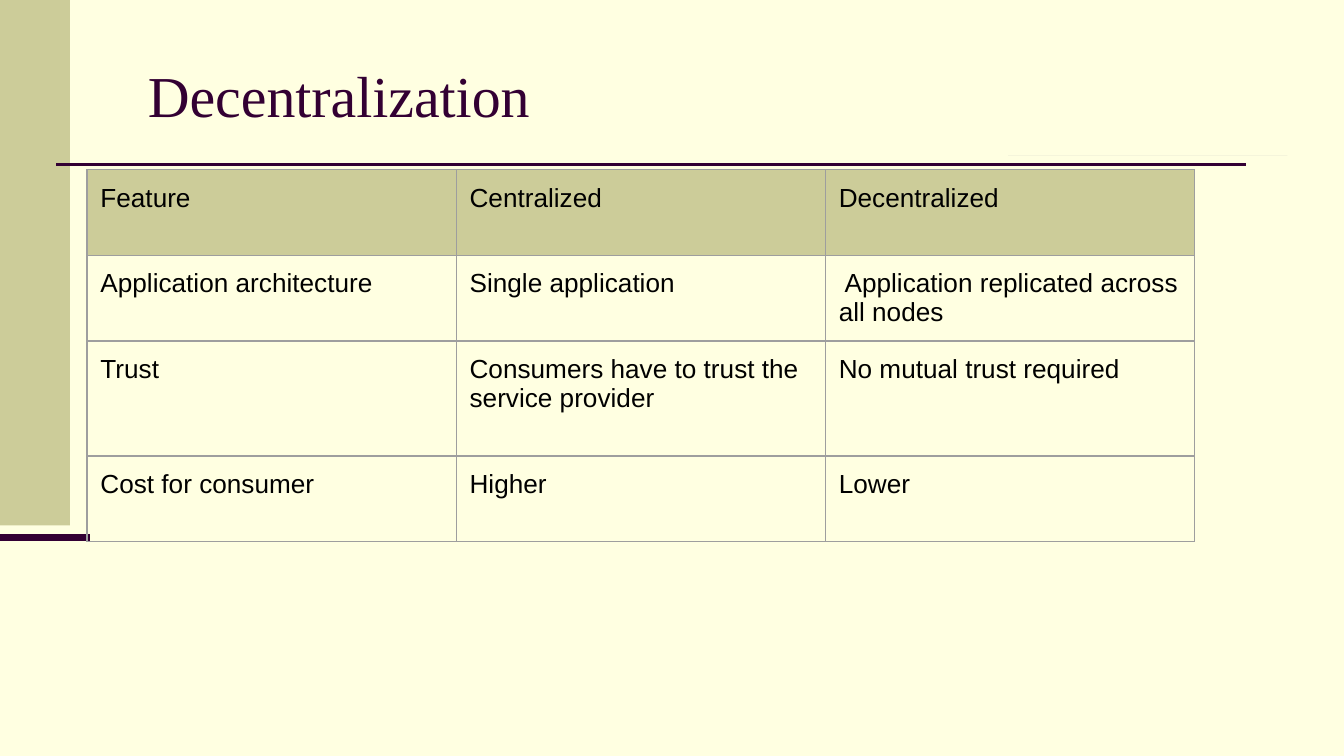
from dataclasses import dataclass

from lxml import etree
from pptx import Presentation
from pptx.dml.color import RGBColor
from pptx.enum.shapes import MSO_CONNECTOR, MSO_SHAPE
from pptx.enum.text import MSO_ANCHOR, PP_ALIGN
from pptx.oxml.ns import qn
from pptx.util import Pt

RECT = MSO_SHAPE.RECTANGLE
STRAIGHT = MSO_CONNECTOR.STRAIGHT
MIDDLE = MSO_ANCHOR.MIDDLE
TOP = MSO_ANCHOR.TOP
LEFT = PP_ALIGN.LEFT
TITLE_ONLY = 5


@dataclass(frozen=True)
class Theme:
    """Colours, fonts and type sizes of the slide."""
    paper: str = "FFFFE1"
    khaki: str = "CCCC99"
    plum: str = "330033"
    grey: str = "B2B2B2"
    border: str = "9E9E9E"
    ink: str = "000000"
    title_font: str = "Times New Roman"
    body_font: str = "Arial"
    title_size: float = 31
    body_size: float = 14


THEME = Theme()
ROWS = [
    ("Feature", "Centralized", "Decentralized"),
    ("Application architecture", "Single application",
     " Application replicated across all nodes"),
    ("Trust", "Consumers have to trust the service provider",
     "No mutual trust required"),
    ("Cost for consumer", "Higher", "Lower"),
]
ROW_HEIGHTS = (45.8, 45.8, 61.6, 45.8)


def rgb(color):
    """Return the colour object for a hex string."""
    return RGBColor.from_string(color)


def add_run(p, text, font, size, color):
    """Add one formatted run to a paragraph."""
    r = p.add_run()
    r.text = text
    r.font.name = font
    r.font.size = Pt(size)
    r.font.color.rgb = rgb(color)


def add_block(s, x, y, w, h, color):
    """Add a plain filled rectangle."""
    sp = s.shapes.add_shape(RECT, Pt(x), Pt(y), Pt(w), Pt(h))
    sp.shadow.inherit = False
    sp.fill.solid()
    sp.fill.fore_color.rgb = rgb(color)
    sp.line.fill.background()


def add_rule(s, x, y, w, weight):
    """Add a horizontal plum line without a shadow."""
    line = s.shapes.add_connector(STRAIGHT, Pt(x), Pt(y), Pt(x + w), Pt(y))
    line.line.color.rgb = rgb(THEME.plum)
    line.line.width = Pt(weight)
    etree.SubElement(line._element.spPr, qn("a:effectLst"))


def add_decoration(s, x, y, w, h):
    """Draw the side band and the rules inside the slide box."""
    add_block(s, x, y, 0.052 * w, 0.695 * h, THEME.khaki)
    add_block(s, x + 0.75 * w, y + 83.5, 0.208 * w, 0, THEME.grey)
    add_rule(s, x + 0.042 * w, y + 88.2, 0.885 * w, 1.5)
    add_rule(s, x, y + 288, 0.067 * w, 3.5)


def set_title(s, text, x, y, w, h):
    """Place and format the title placeholder."""
    sp = s.shapes.title
    sp.left, sp.top, sp.width, sp.height = Pt(x), Pt(y), Pt(w), Pt(h)
    tf = sp.text_frame
    tf.word_wrap = True
    tf.vertical_anchor = MIDDLE
    tf.margin_left = tf.margin_right = Pt(7.2)
    tf.margin_top = tf.margin_bottom = Pt(3.6)
    p = tf.paragraphs[0]
    p.alignment = LEFT
    add_run(p, text, THEME.title_font, THEME.title_size, THEME.plum)


def set_borders(cell):
    """Give a cell a thin line on all four sides."""
    tc_pr = cell._tc.get_or_add_tcPr()
    for i, side in enumerate(("a:lnL", "a:lnR", "a:lnT", "a:lnB")):
        ln = etree.Element(qn(side), w=str(Pt(0.75)))
        fill = etree.SubElement(ln, qn("a:solidFill"))
        etree.SubElement(fill, qn("a:srgbClr"), val=THEME.border)
        tc_pr.insert(i, ln)


def fill_cell(cell, text, is_header):
    """Write and format one table cell."""
    cell.margin_left = cell.margin_right = Pt(7.2)
    cell.margin_top = cell.margin_bottom = Pt(7.2)
    cell.vertical_anchor = TOP
    if is_header:
        cell.fill.solid()
        cell.fill.fore_color.rgb = rgb(THEME.khaki)
    else:
        cell.fill.background()
    set_borders(cell)
    p = cell.text_frame.paragraphs[0]
    add_run(p, text, THEME.body_font, THEME.body_size, THEME.ink)


def add_comparison(s, rows, heights, x, y, w):
    """Add the feature table with equal columns."""
    n_cols = len(rows[0])
    frame = s.shapes.add_table(len(rows), n_cols, Pt(x), Pt(y), Pt(w), Pt(sum(heights)))
    table = frame.table
    table.first_row = table.horz_banding = False
    for col in table.columns:
        col.width = Pt(w / n_cols)
    for i, (texts, height) in enumerate(zip(rows, heights)):
        table.rows[i].height = Pt(height)
        for j, text in enumerate(texts):
            fill_cell(table.cell(i, j), text, i == 0)


def main():
    """Build and save the slide."""
    prs = Presentation()
    prs.slide_width, prs.slide_height = Pt(720), Pt(405)
    s = prs.slides.add_slide(prs.slide_layouts[TITLE_ONLY])
    s.background.fill.solid()
    s.background.fill.fore_color.rgb = rgb(THEME.paper)
    add_decoration(s, 0, 0, 720, 405)
    set_title(s, "Decentralization", 72, 16.6, 612, 67.7)
    add_comparison(s, ROWS, ROW_HEIGHTS, 46.6, 91, 593.4)
    prs.save("out.pptx")


if __name__ == "__main__":
    main()
